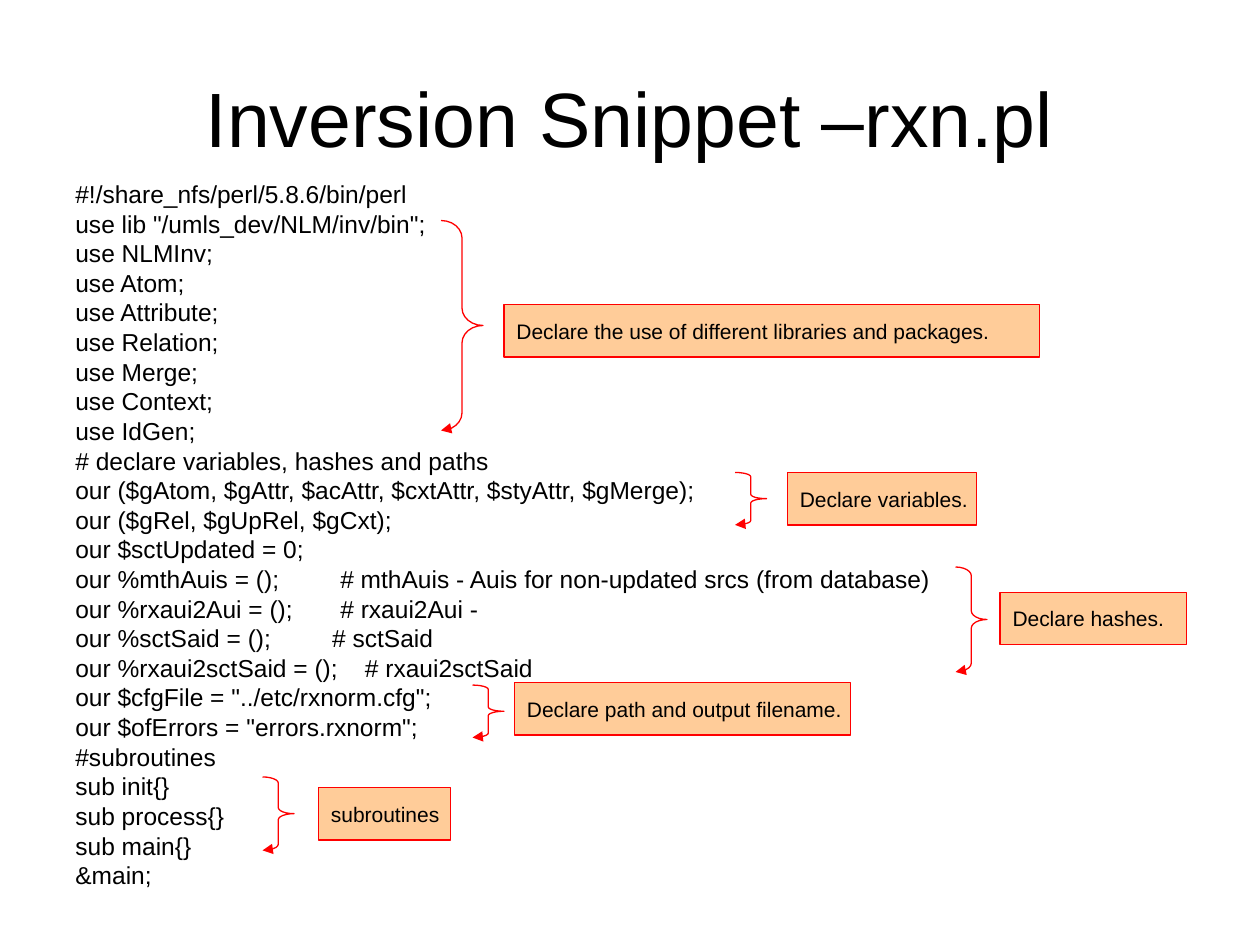
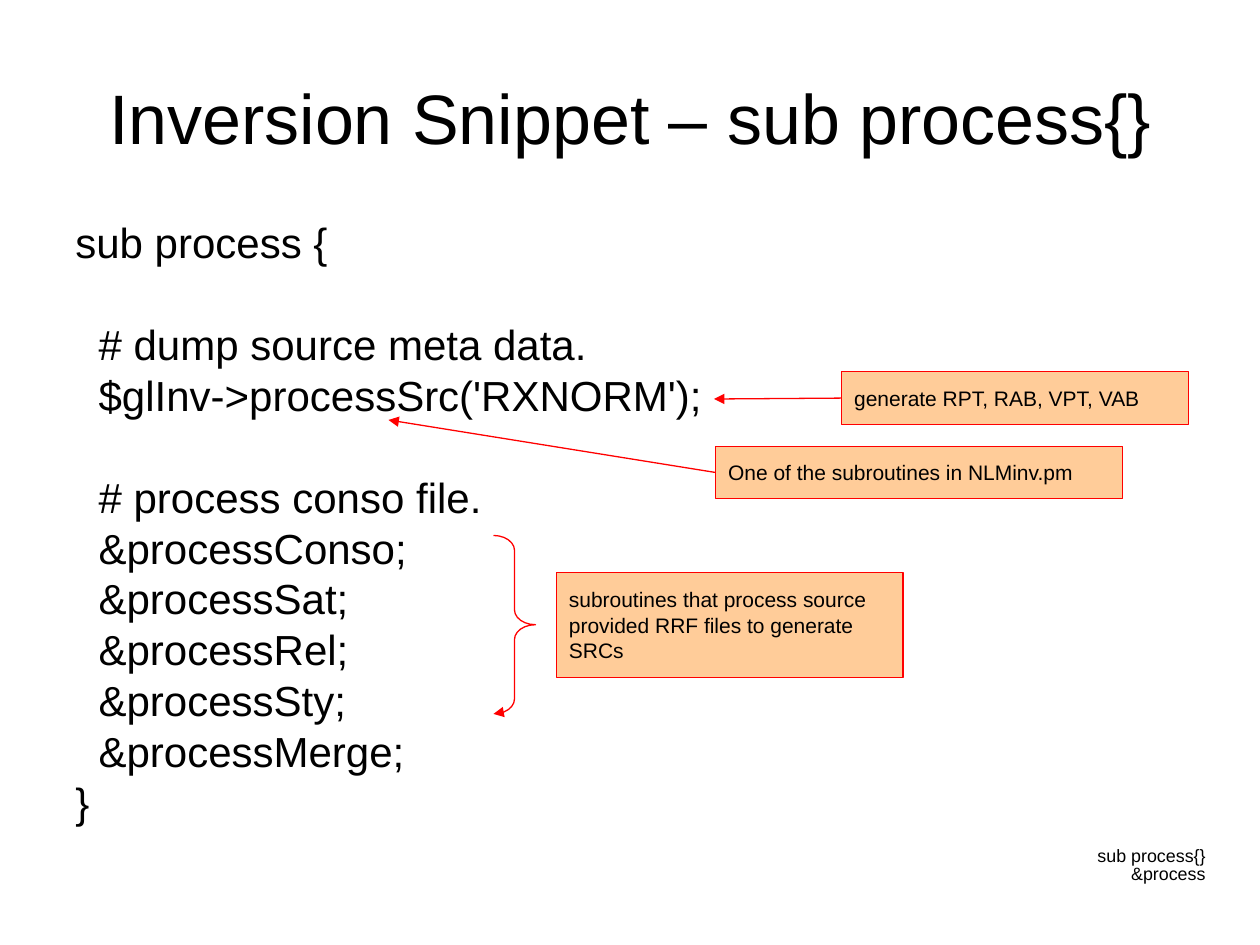
"""Build two slides that annotate a Perl inversion script."""
from lxml.etree import SubElement
from pptx import Presentation
from pptx.dml.color import RGBColor
from pptx.enum.shapes import MSO_CONNECTOR, MSO_SHAPE
from pptx.enum.text import MSO_ANCHOR, PP_ALIGN
from pptx.oxml.ns import qn
from pptx.util import Pt

COLOURS = {"text": "000000", "accent": "FF0000", "label": "FFCC99"}
FONT = "Arial"
TITLE_AREA = (36, 21.6, 648, 90)

SCRIPT_CODE = """#!/share_nfs/perl/5.8.6/bin/perl
use lib "/umls_dev/NLM/inv/bin";
use NLMInv;
use Atom;
use Attribute;
use Relation;
use Merge;
use Context;
use IdGen;
# declare variables, hashes and paths
our ($gAtom, $gAttr, $acAttr, $cxtAttr, $styAttr, $gMerge);
our ($gRel, $gUpRel, $gCxt);
our $sctUpdated = 0;
our %mthAuis = ();         # mthAuis - Auis for non-updated srcs (from database)
our %rxaui2Aui = ();       # rxaui2Aui -
our %sctSaid = ();         # sctSaid
our %rxaui2sctSaid = ();    # rxaui2sctSaid
our $cfgFile = "../etc/rxnorm.cfg";
our $ofErrors = "errors.rxnorm";
#subroutines
sub init{}
sub process{}
sub main{}
&main;"""

PROCESS_CODE = """sub process {

  # dump source meta data.
  $glInv->processSrc('RXNORM');

  # process conso file.
  &processConso;
  &processSat;
  &processRel;
  &processSty;
  &processMerge;
}"""

SCRIPT_NOTES = [
    ((252, 126, 24, 120), (288, 174, 306, 30),
     "Declare the use of different libraries and packages."),
    ((420, 270, 18, 30), (450, 270, 108, 30), "Declare variables."),
    ((546, 324, 18, 60), (571.5, 338.5, 106.5, 30), "Declare hashes."),
    ((270, 391.5, 18, 30), (294, 390, 192, 30), "Declare path and output filename."),
    ((150, 444, 18, 42), (182, 450, 75.5, 30), "subroutines"),
]
PROCESS_ARROWS = [
    ((481, 212.5, 198, 30), "generate RPT, RAB, VPT, VAB", (408, 228)),
    ((409, 255, 232.5, 30), "One of the subroutines in NLMinv.pm", (222, 240)),
]


def points(values):
    """Turn plain numbers into lengths in points."""
    return [Pt(value) for value in values]


def colour(name):
    """Look up a colour by its role."""
    return RGBColor.from_string(COLOURS[name])


def style_font(para, size):
    """Set the shared font on a paragraph."""
    para.font.name = FONT
    para.font.size = Pt(size)
    para.font.color.rgb = colour("text")


def style_line(shape, arrow=False):
    """Give a shape or connector the thin accent line, with an arrowhead if asked."""
    shape.line.color.rgb = colour("accent")
    shape.line.width = Pt(0.75)
    if arrow:
        outline = shape._element.spPr.find(qn("a:ln"))
        SubElement(outline, qn("a:tailEnd"), type="triangle")


def add_text(page, area, lines, size, align=PP_ALIGN.LEFT, spacing=None, before=0):
    """Add a text box with one paragraph a line; an empty line becomes space before the next."""
    box = page.shapes.add_textbox(*points(area))
    frame = box.text_frame
    frame.word_wrap = True
    para, gap = frame.paragraphs[0], 0
    for number, line in enumerate(lines):
        if not line:
            gap += size * 1.15 * spacing + before + 1
            continue
        if number:
            para = frame.add_paragraph()
        para.text = line
        para.alignment = align
        para.line_spacing = spacing
        para.space_before = Pt(round(before + gap, 1) if number else 0)
        style_font(para, size)
        gap = 0
    return box


def add_title(page, text, size):
    """Add the centred slide title."""
    box = add_text(page, TITLE_AREA, [text], size, PP_ALIGN.CENTER)
    box.text_frame.vertical_anchor = MSO_ANCHOR.MIDDLE


def add_code(page, area, code, size):
    """Add a code listing with tight lines."""
    add_text(page, area, code.splitlines(), size, spacing=0.8, before=size / 4)


def add_label(page, area, text, wrap=False):
    """Add a filled label that explains part of the code."""
    label = page.shapes.add_shape(MSO_SHAPE.RECTANGLE, *points(area))
    label.shadow.inherit = False
    label.fill.solid()
    label.fill.fore_color.rgb = colour("label")
    style_line(label)
    frame = label.text_frame
    frame.word_wrap = wrap
    frame.vertical_anchor = MSO_ANCHOR.MIDDLE
    para = frame.paragraphs[0]
    para.text = text
    para.alignment = PP_ALIGN.LEFT
    style_font(para, 12)
    return label


def add_brace(page, area):
    """Add a right brace that ends in an arrowhead, its curves a twelfth of its height."""
    brace = page.shapes.add_shape(MSO_SHAPE.RIGHT_BRACE, *points(area))
    width, height = area[2:]
    brace.adjustments[0] = height / 12 / min(width, height)
    brace.shadow.inherit = False
    brace.fill.background()
    style_line(brace, arrow=True)


def add_arrow(page, label, tip):
    """Add an arrow from the left side of a label to a point in the code."""
    middle = label.top + label.height // 2
    arrow = page.shapes.add_connector(
        MSO_CONNECTOR.STRAIGHT, label.left, middle, *points(tip))
    arrow.begin_connect(label, 1)
    style_line(arrow, arrow=True)
    SubElement(arrow._element.spPr, qn("a:effectLst"))


def add_page(deck, title, size):
    """Add a blank slide with a title."""
    page = deck.slides.add_slide(deck.slide_layouts[6])
    add_title(page, title, size)
    return page


def build_script_page(deck):
    """Build the slide that shows the whole script."""
    page = add_page(deck, "Inversion Snippet –rxn.pl", 44)
    add_code(page, (36, 102, 648, 414), SCRIPT_CODE, 14)
    for brace_area, label_area, text in SCRIPT_NOTES:
        add_brace(page, brace_area)
        add_label(page, label_area, text)


def build_process_page(deck):
    """Build the slide that shows the process subroutine."""
    page = add_page(deck, "Inversion Snippet – sub process{}", 40)
    add_code(page, (36, 126, 648, 356.5), PROCESS_CODE, 24)
    for area, text, tip in PROCESS_ARROWS:
        add_arrow(page, add_label(page, area, text), tip)
    add_brace(page, (282, 306, 24, 102))
    add_label(page, (318, 327, 198, 60),
              "subroutines that process source provided RRF files to generate SRCs", wrap=True)
    footer = add_text(page, (588, 456, 108, 60), ["sub process{}", "&process"], 10.2,
                      PP_ALIGN.RIGHT, spacing=0.6, before=2.8)
    footer.text_frame.margin_top = Pt(31)


def main():
    """Build and save the deck."""
    deck = Presentation()
    deck.slide_width, deck.slide_height = points((720, 540))
    build_script_page(deck)
    build_process_page(deck)
    deck.save("out.pptx")


if __name__ == "__main__":
    main()
